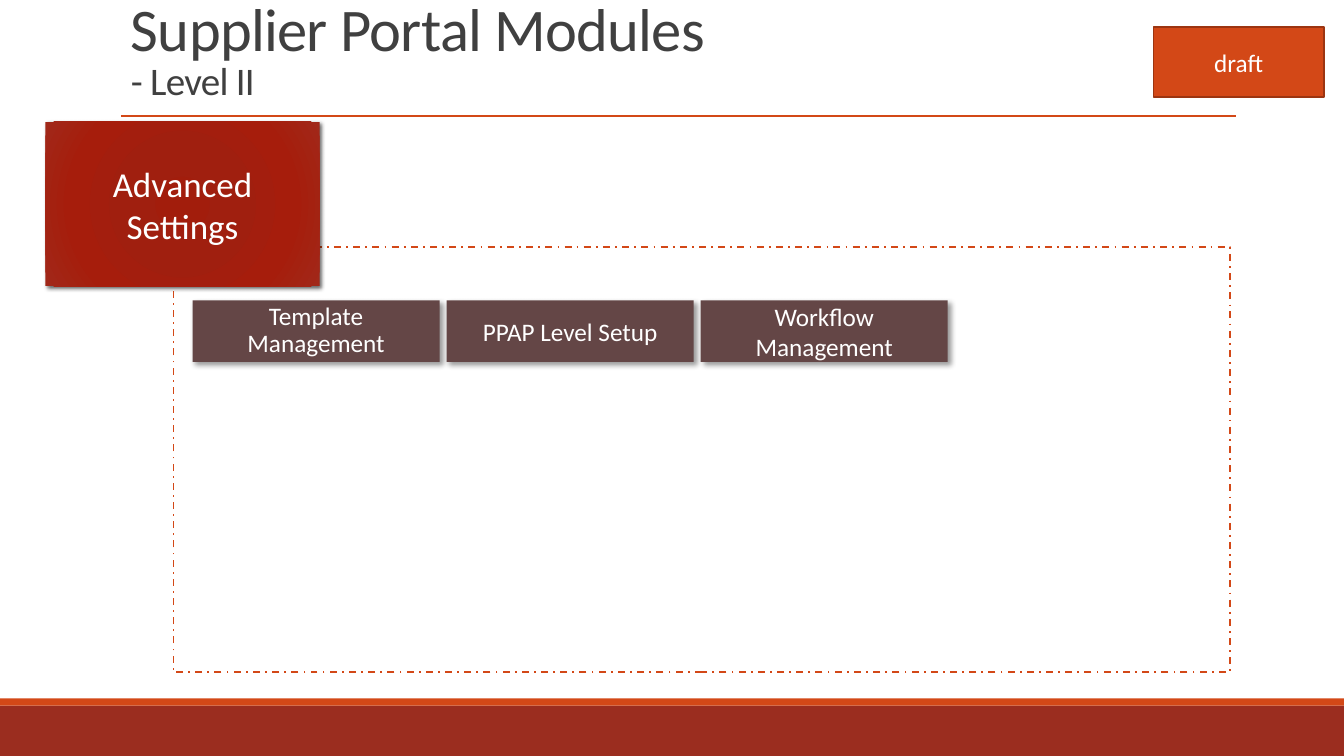
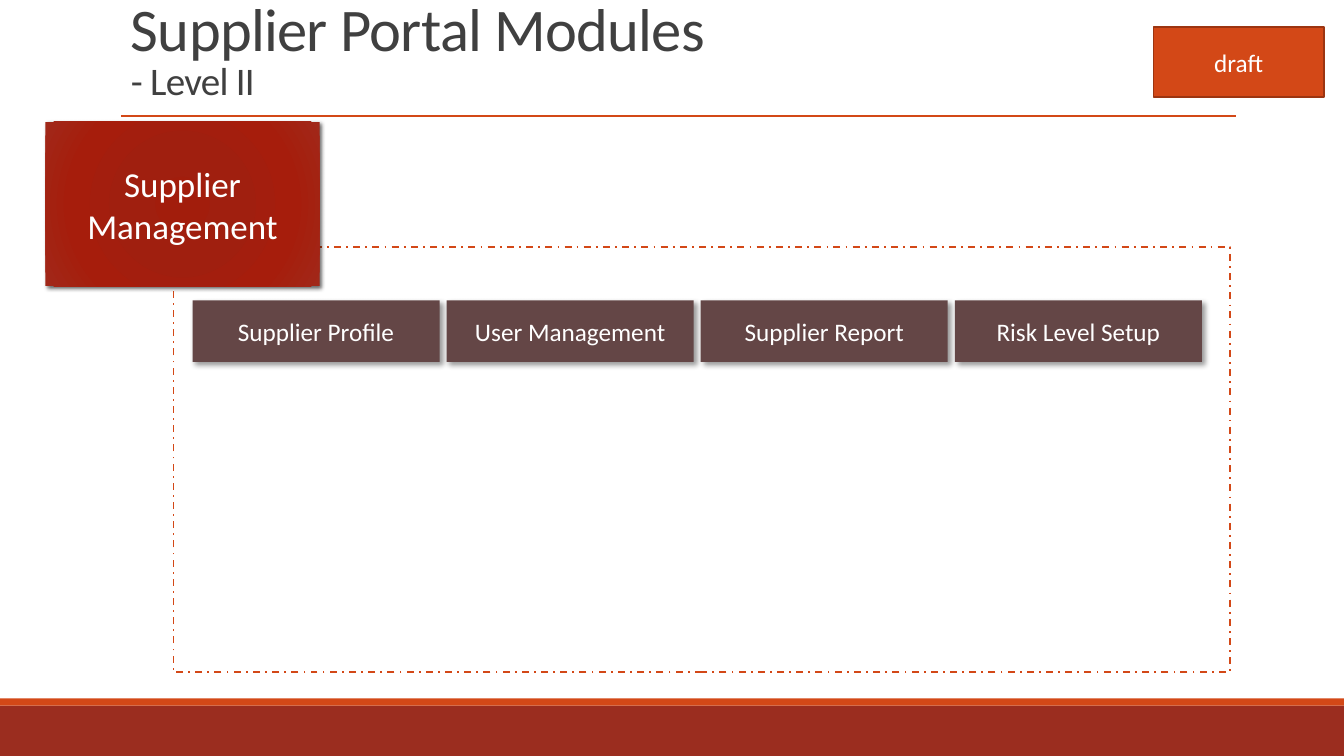
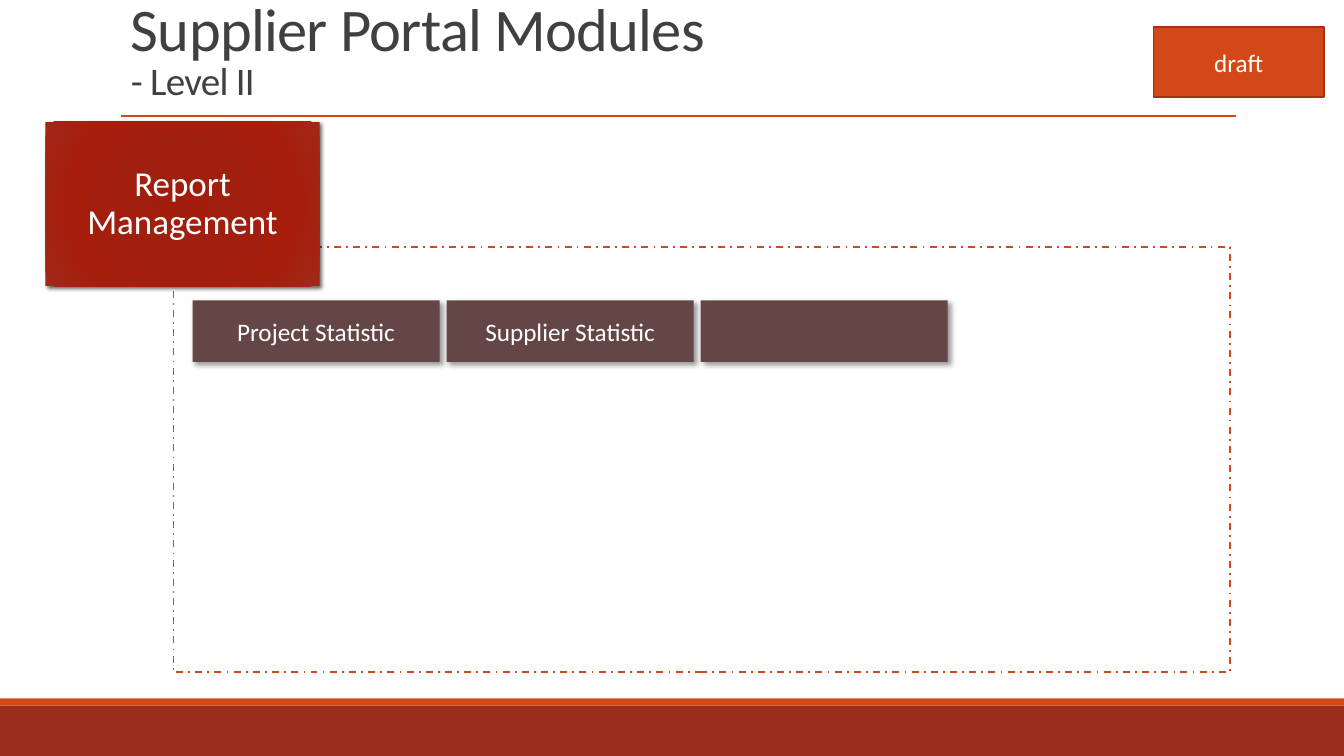
from lxml.etree import SubElement
from pptx import Presentation
from pptx.dml.color import RGBColor
from pptx.enum.dml import MSO_LINE
from pptx.enum.shapes import MSO_CONNECTOR, MSO_SHAPE
from pptx.enum.text import MSO_ANCHOR, PP_ALIGN
from pptx.oxml import parse_xml
from pptx.oxml.ns import nsdecls, qn
from pptx.util import Inches, Pt

COLOURS = {
    "band": "9B2D1F", "accent": "D34817", "draft_edge": "9C3511",
    "title": "404040", "module": "644646", "white": "FFFFFF", "shadow": "000000",
}
AREA_STOPS = [(0, "A21D0C"), (34, "A01F0F"), (70, "A61D0C"), (100, "A12819")]
FONT = "Calibri"

MODULE_LEFT, MODULE_TOP, MODULE_WIDTH, MODULE_HEIGHT = 1.91, 2.98, 2.45, 0.61
MODULE_PITCH = 2.52

# Area name, its line spacing, then modules with their line spacing
SLIDES = [
    ("Advanced Settings", 1.0,
     [("Template Management", 0.9), ("PPAP Level Setup", 1.0), ("Workflow Management", 1.0)]),
    ("Supplier Management", 1.0,
     [("Supplier Profile", 1.0), ("User Management", 1.0),
      ("Supplier Report", 1.0), ("Risk Level Setup", 1.0)]),
    ("Report Management", 0.9,
     [("Project Statistic", 1.0), ("Supplier Statistic", 1.0), ("", 1.0)]),
]


def add_box(slide, at, fill=None, line=None, text="", size=18, spacing=1.0):
    box = slide.shapes.add_shape(MSO_SHAPE.RECTANGLE, *[Inches(length) for length in at])
    box.shadow.inherit = False
    if fill:
        box.fill.solid()
        box.fill.fore_color.rgb = RGBColor.from_string(COLOURS[fill])
    else:
        box.fill.background()
    if line:
        box.line.color.rgb = RGBColor.from_string(COLOURS[line])
        box.line.width = Pt(1.25)
    else:
        box.line.fill.background()
    if text:
        box.text_frame.vertical_anchor = MSO_ANCHOR.MIDDLE
        paragraph = box.text_frame.paragraphs[0]
        paragraph.alignment = PP_ALIGN.CENTER
        paragraph.line_spacing = spacing
        run = paragraph.add_run()
        run.text = text
        run.font.name = FONT
        run.font.size = Pt(size)
        run.font.color.rgb = RGBColor.from_string(COLOURS["white"])
    return box


def add_shadow(box, opacity, blur, distance):
    effects = box._element.spPr.find(qn("a:effectLst"))
    shadow = SubElement(effects, qn("a:outerShdw"), blurRad=str(Pt(blur)),
                        dist=str(Pt(distance)), dir="2700000", rotWithShape="0")
    colour = SubElement(shadow, qn("a:srgbClr"), val=COLOURS["shadow"])
    SubElement(colour, qn("a:alpha"), val=str(opacity * 1000))


prs = Presentation()
prs.slide_width, prs.slide_height = Inches(13.33), Inches(7.5)

for area_name, area_spacing, modules in SLIDES:
    slide = prs.slides.add_slide(prs.slide_layouts[6])

    # Footer bands and title rule
    add_box(slide, (0, 7, 13.33, 0.5), "band")
    add_box(slide, (0, 6.93, 13.33, 0.07), "accent")
    rule = slide.shapes.add_connector(
        MSO_CONNECTOR.STRAIGHT, Inches(1.2), Inches(1.15), Inches(12.26), Inches(1.15))
    rule.line.color.rgb = RGBColor.from_string(COLOURS["accent"])
    rule.line.width = Pt(1)
    SubElement(rule._element.spPr, qn("a:effectLst"))

    # Title with its level line
    title = slide.shapes.add_textbox(Inches(1.2), Inches(0.27), Inches(11), Inches(0.81))
    title.text_frame.word_wrap = True
    title.text_frame.vertical_anchor = MSO_ANCHOR.BOTTOM
    heading = title.text_frame.paragraphs[0]
    heading.line_spacing = 0.85
    for text, size in (("Supplier Portal Modules", 43.2), ("- Level II", 27.9)):
        if heading.runs:
            heading.add_line_break()
        run = heading.add_run()
        run.text = text
        run.font.name = FONT
        run.font.size = Pt(size)
        run.font.color.rgb = RGBColor.from_string(COLOURS["title"])
        run.font._element.set("spc", "-50")

    # Dashed frame around the modules
    frame = add_box(slide, (1.72, 2.45, 10.48, 4.22), line="accent")
    frame.line.dash_style = MSO_LINE.DASH_DOT

    # Area block with a radial gradient
    area = add_box(slide, (0.45, 1.21, 2.72, 1.63), "band",
                   text=area_name, size=25, spacing=area_spacing)
    area.text_frame.margin_top = area.text_frame.margin_bottom = Inches(0.1)
    stops = "".join(f'<a:gs pos="{pos * 1000}"><a:srgbClr val="{colour}"/></a:gs>'
                    for pos, colour in AREA_STOPS)
    gradient = parse_xml(
        f'<a:gradFill {nsdecls("a")} rotWithShape="1"><a:gsLst>{stops}</a:gsLst>'
        '<a:path path="circle"><a:fillToRect l="100000" t="100000" r="100000" b="100000"/>'
        '</a:path></a:gradFill>')
    area_props = area._element.spPr
    area_props.replace(area_props.find(qn("a:solidFill")), gradient)
    add_shadow(area, 60, 3, 2)

    # Row of modules
    for column, (module_name, module_spacing) in enumerate(modules):
        module = add_box(
            slide,
            (MODULE_LEFT + column * MODULE_PITCH, MODULE_TOP, MODULE_WIDTH, MODULE_HEIGHT),
            "module", text=module_name, spacing=module_spacing)
        add_shadow(module, 40, 4, 3)

    # Draft stamp
    add_box(slide, (11.44, 0.27, 1.69, 0.69), "accent", "draft_edge", "draft")

prs.save("out.pptx")
